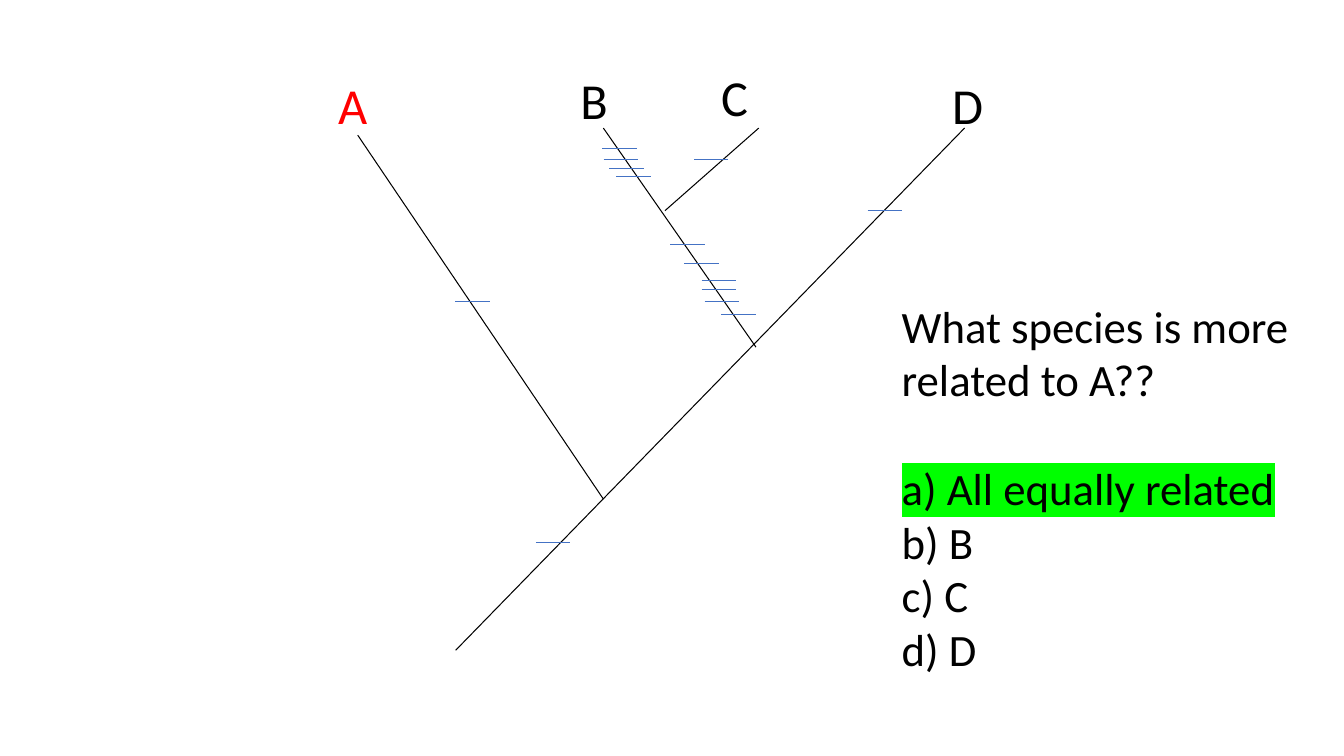
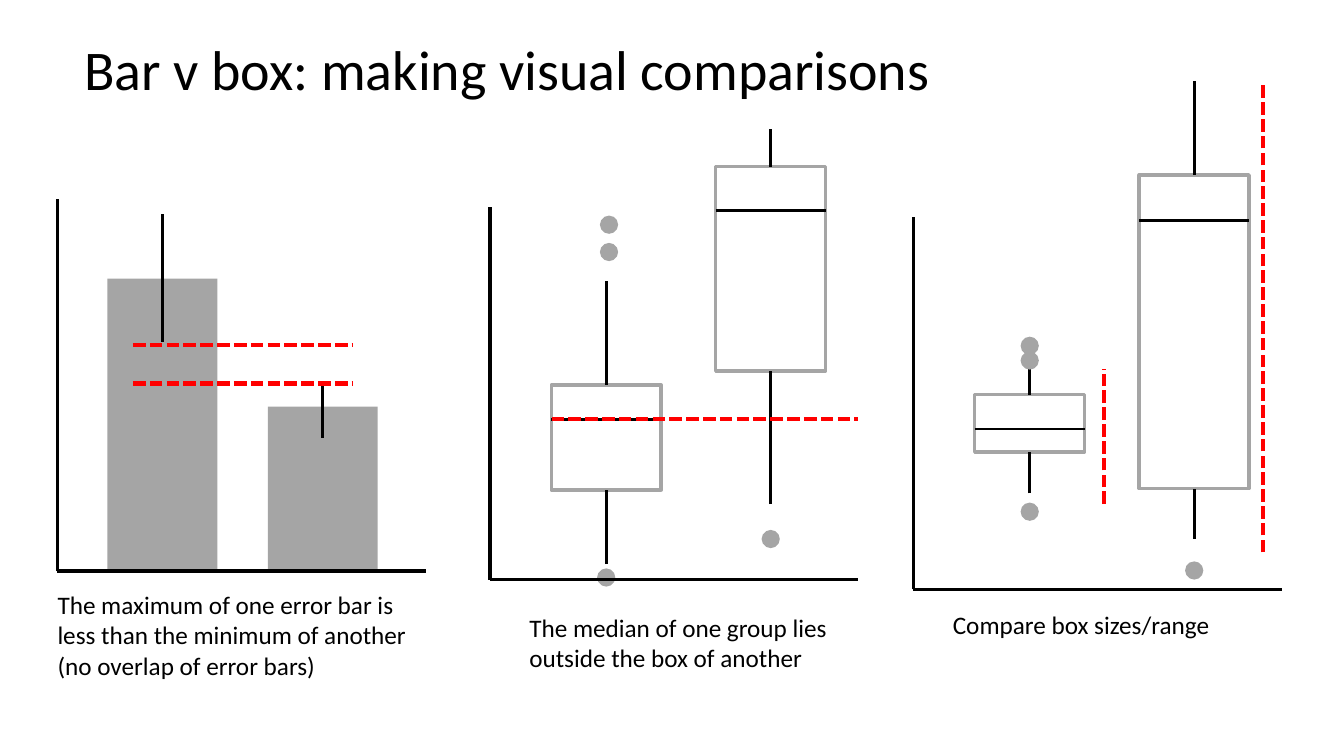
from dataclasses import dataclass

from lxml import etree
from pptx import Presentation
from pptx.dml.color import RGBColor
from pptx.enum.dml import MSO_LINE
from pptx.enum.shapes import MSO_CONNECTOR, MSO_SHAPE
from pptx.enum.text import MSO_ANCHOR, MSO_AUTO_SIZE, PP_ALIGN
from pptx.oxml.ns import qn
from pptx.util import Pt

STRAIGHT = MSO_CONNECTOR.STRAIGHT
RECT, OVAL = MSO_SHAPE.RECTANGLE, MSO_SHAPE.OVAL
SHORT_DASH = MSO_LINE.SQUARE_DOT
MIDDLE, LEFT = MSO_ANCHOR.MIDDLE, PP_ALIGN.LEFT
NO_AUTOFIT = MSO_AUTO_SIZE.NONE
TITLE_ONLY, BLANK = 5, 6


@dataclass(frozen=True)
class Theme:
    font: str = "Calibri"
    ink: str = "000000"
    accent: str = "FF0000"
    tick: str = "4472C4"
    data: str = "A5A5A5"
    answer: str = "00FF00"
    title_size: float = 40
    label_size: float = 36
    question_size: float = 32
    caption_size: float = 18
    hairline: float = 0.75
    whisker: float = 2
    axis: float = 2.5
    guide: float = 3


THEME = Theme()


# Shared helpers
def set_all(target, values):
    for name, value in values.items():
        setattr(target, name, value)


def set_font(font, size, color=THEME.ink):
    set_all(font, {"name": THEME.font, "size": Pt(size)})
    font.color.rgb = RGBColor.from_string(color)


def add_line(slide, start, end, color, width, dash=None):
    line = slide.shapes.add_connector(STRAIGHT, *map(Pt, (*start, *end)))
    line.line.color.rgb = RGBColor.from_string(color)
    set_all(line.line, {"width": Pt(width), "dash_style": dash})
    etree.SubElement(line._element.spPr, qn("a:effectLst"))


def add_mark(slide, kind, box, filled=True):
    mark = slide.shapes.add_shape(kind, *map(Pt, box))
    mark.shadow.inherit = False
    color = RGBColor.from_string(THEME.data)
    if filled:
        mark.fill.solid()
        mark.fill.fore_color.rgb = color
        mark.line.fill.background()
    else:
        mark.fill.background()
        mark.line.color.rgb = color
        mark.line.width = Pt(THEME.axis)


def add_text(slide, box, lines, size, color=THEME.ink):
    frame = slide.shapes.add_textbox(*map(Pt, box)).text_frame
    frame.word_wrap = True
    frame.text = "\n".join(lines)
    for paragraph in frame.paragraphs:
        for run in paragraph.runs:
            set_font(run.font, size, color)
    return frame.paragraphs


def add_title(slide, text):
    title = slide.shapes.title
    set_all(title, {"left": Pt(53), "top": Pt(14.5),
                    "width": Pt(848), "height": Pt(74)})
    title.text_frame.text = text
    set_all(title.text_frame, {"vertical_anchor": MIDDLE, "word_wrap": True,
                               "auto_size": NO_AUTOFIT})
    paragraph = title.text_frame.paragraphs[0]
    set_all(paragraph, {"alignment": LEFT, "line_spacing": 0.9})
    set_font(paragraph.runs[0].font, THEME.title_size)


# Species tree: every point is measured from the tree's top left corner
BRANCHES = {
    "root to D": ((70, 373), (433.5, 0)),
    "A": ((175.5, 265), (0, 5)),
    "B": ((284.5, 156.5), (175.5, 0)),
    "C": ((219.5, 59), (286.5, 0)),
}
CHANGES = {
    "root to D": [(139.5, 296), (376.5, 59)],
    "A": [(82, 124)],
    "B": [(272, 133), (260, 124), (258, 115), (258, 109), (245.5, 97),
          (235.5, 83), (197, 34.5), (192, 29), (188, 22.5), (187, 14.5)],
    "C": [(252.5, 22.5)],
}
SPECIES = {"A": (-21, -42, THEME.accent), "B": (152, -45.5, THEME.ink),
           "C": (252.5, -48, THEME.ink), "D": (417.5, -42, THEME.ink)}
CHANGE_WIDTH = 24.5


def draw_tree(slide, left, top):
    for branch, ends in BRANCHES.items():
        start, end = [(left + x, top + y) for x, y in ends]
        add_line(slide, start, end, THEME.ink, THEME.hairline)
        for x, y in CHANGES[branch]:
            tick_left = left + x - CHANGE_WIDTH / 2
            add_line(slide, (tick_left, top + y),
                     (tick_left + CHANGE_WIDTH, top + y),
                     THEME.tick, THEME.hairline)
    for name, (x, y, color) in SPECIES.items():
        add_text(slide, (left + x, top + y, 34.5, 50.5), [name],
                 THEME.label_size, color)


def draw_question(slide, box, question, answers, correct):
    paragraphs = add_text(slide, box, [question, *answers],
                          THEME.question_size)
    paragraphs[1].space_before = Pt(39)
    # Highlight the correct answer, right after the text fill
    properties = paragraphs[1 + correct].runs[0].font._element
    highlight = etree.Element(qn("a:highlight"))
    etree.SubElement(highlight, qn("a:srgbClr"), val=THEME.answer)
    properties.find(qn("a:solidFill")).addnext(highlight)


def tree_slide(deck):
    slide = deck.slides.add_slide(deck.slide_layouts[BLANK])
    draw_tree(slide, 255.5, 91.5)
    draw_question(slide, (637, 209.5, 297, 314.5),
                  "What species is more related to A??",
                  ["a) All equally related", "b) B", "c) C", "d) D"], 0)


# Plot panels: x runs right from the axis corner, heights run up from it
AXIS_WIDTH, AXIS_HEIGHT = 263, 266
COLUMN_WIDTH = 78.5
DOT = 13


@dataclass(frozen=True)
class Bar:
    center: float
    top: float
    error: tuple

    def draw(self, slide, left, base):
        x = left + self.center
        add_mark(slide, RECT, (x - COLUMN_WIDTH / 2, base - self.top,
                               COLUMN_WIDTH, self.top))
        low, high = self.error
        add_line(slide, (x, base - high), (x, base - low),
                 THEME.ink, THEME.whisker)


@dataclass(frozen=True)
class BoxPlot:
    center: float
    low: float
    bottom: float
    median: float
    top: float
    high: float
    outliers: tuple  # (sideways shift, height)

    def draw(self, slide, left, base):
        x = left + self.center
        edge = x - COLUMN_WIDTH / 2
        add_mark(slide, RECT, (edge, base - self.top, COLUMN_WIDTH,
                               self.top - self.bottom), filled=False)
        for start, end in (
                ((edge, self.median), (edge + COLUMN_WIDTH, self.median)),
                ((x, self.low), (x, self.bottom)),
                ((x, self.top), (x, self.high))):
            add_line(slide, (start[0], base - start[1]),
                     (end[0], base - end[1]), THEME.ink, THEME.whisker)
        for shift, height in self.outliers:
            add_mark(slide, OVAL, (x + shift - DOT / 2,
                                   base - height - DOT / 2, DOT, DOT))


@dataclass(frozen=True)
class Panel:
    corner: tuple
    columns: tuple
    guides: tuple
    caption: str
    caption_box: tuple  # offset from the corner, then size


PANELS = (
    Panel((41, 408),
          (Bar(75, 209, (163.5, 255)), Bar(189.5, 117.5, (95, 134))),
          (((54, 134), (211.5, 134)), ((54, 161.5), (211.5, 161.5))),
          "The maximum of one error bar is less than the minimum of another"
          "\v(no overlap of error bars)",
          (-7, 9.5, 281, 72)),
    Panel((350, 414),
          (BoxPlot(83, 11, 64, 114.5, 139, 213,
                   ((2, 253.5), (2, 234), (0, 1.5))),
           BoxPlot(200.5, 54, 149, 263.5, 295, 322, ((0, 29),))),
          (((44, 114.5), (263, 114.5)),),
          "The median of one group lies outside the box of another",
          (21, 19.5, 281, 50.5)),
    Panel((652.5, 421),
          (BoxPlot(83, 68.5, 98, 114.5, 139, 157.5,
                   ((0, 163.5), (0, 174), (0, 55.5))),
           BoxPlot(200.5, 36, 72, 263.5, 296, 363, ((0, 13.5),))),
          (((136, 61), (136, 157.5)), ((249.5, 26.5), (249.5, 363))),
          "Compare box sizes/range",
          (21, 11, 281, 29)),
)


def draw_panel(slide, panel):
    left, base = panel.corner
    for column in panel.columns:
        column.draw(slide, left, base)
    # Axes
    for end in ((left, base - AXIS_HEIGHT), (left + AXIS_WIDTH, base)):
        add_line(slide, panel.corner, end, THEME.ink, THEME.axis)
    # Dashed comparison guides
    for (x1, h1), (x2, h2) in panel.guides:
        add_line(slide, (left + x1, base - h1), (left + x2, base - h2),
                 THEME.accent, THEME.guide, SHORT_DASH)
    x, y, width, height = panel.caption_box
    add_text(slide, (left + x, base + y, width, height), [panel.caption],
             THEME.caption_size)


def comparison_slide(deck):
    slide = deck.slides.add_slide(deck.slide_layouts[TITLE_ONLY])
    add_title(slide, "Bar v box: making visual comparisons")
    for panel in PANELS:
        draw_panel(slide, panel)


def main():
    deck = Presentation()
    set_all(deck, {"slide_width": Pt(960), "slide_height": Pt(540)})
    tree_slide(deck)
    comparison_slide(deck)
    deck.save("out.pptx")


if __name__ == "__main__":
    main()
